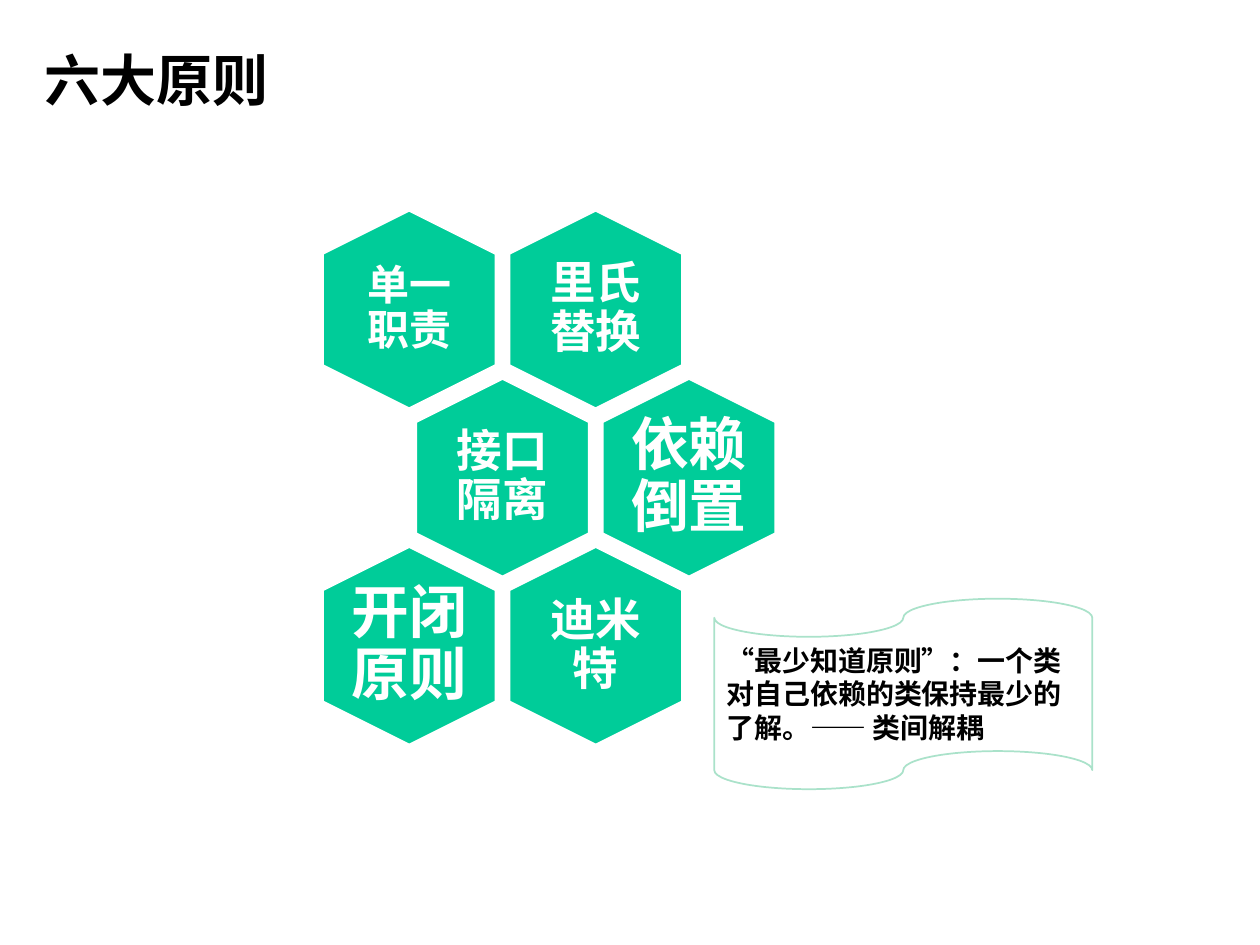
import lxml.etree
import pptx
import pptx.dml.color
import pptx.enum.shapes
import pptx.enum.text
import pptx.oxml.ns
import pptx.util

Cm = pptx.util.Cm
Pt = pptx.util.Pt
ANCHOR = pptx.enum.text.MSO_ANCHOR
ALIGN = pptx.enum.text.PP_ALIGN
COLORS = {"black": "000000", "white": "FFFFFF", "green": "00CC99", "mint": "AAE2CA"}
LATIN_FONT = "Times New Roman"
CHINESE_FONT = "Noto Sans CJK SC"

HEXAGON_WIDTH, HEXAGON_HEIGHT, HEXAGON_SHOULDER = 3.48, 3.98, 0.87
GRID_LEFT, GRID_TOP = 6.51, 4.25
COLUMN_STEP, ROW_STEP = 3.76, 3.39
WIDE_INSETS = (0.53, 0.64)
LARGE_INSETS = (0.81, 0.89)
PRINCIPLES = [
    [("单一职责", 24, WIDE_INSETS), ("里氏替换", 26, LARGE_INSETS)],
    [("接口隔离", 26, LARGE_INSETS), ("依赖倒置", 33, WIDE_INSETS)],
    [("开闭原则", 33, WIDE_INSETS), ("迪米特", 26, LARGE_INSETS)],
]


class SlideBuilder:
    def __init__(self, slide):
        self.slide = slide

    def color(self, name):
        return pptx.dml.color.RGBColor.from_string(COLORS[name])

    def set_text(self, shape, text, size, color, font, align, anchor, insets):
        frame = shape.text_frame
        frame.text = text
        frame.word_wrap = True
        frame.auto_size = pptx.enum.text.MSO_AUTO_SIZE.NONE
        frame.vertical_anchor = anchor
        frame.margin_left = frame.margin_right = Cm(insets[0])
        frame.margin_top = frame.margin_bottom = Cm(insets[1])
        paragraph = frame.paragraphs[0]
        paragraph.alignment = align
        for run in paragraph.runs:
            run.font.size = Pt(size)
            run.font.bold = True
            run.font.name = font
            run.font.color.rgb = self.color(color)
            properties = run._r.get_or_add_rPr()
            east_asian = lxml.etree.SubElement(properties, pptx.oxml.ns.qn("a:ea"))
            east_asian.set("typeface", CHINESE_FONT)
        return paragraph

    def paint(self, shape, fill, line):
        shape.shadow.inherit = False
        shape.fill.solid()
        shape.fill.fore_color.rgb = self.color(fill)
        shape.line.color.rgb = self.color(line)
        shape.line.width = Pt(1)

    def title(self, text, left, top, width, height):
        shape = self.slide.shapes.title
        shape.left, shape.top = Cm(left), Cm(top)
        shape.width, shape.height = Cm(width), Cm(height)
        self.set_text(shape, text, 32, "black", LATIN_FONT, ALIGN.LEFT,
                      ANCHOR.MIDDLE, (0.25, 0.13))

    def hexagon(self, text, size, insets, left, top):
        middle, right = left + HEXAGON_WIDTH / 2, left + HEXAGON_WIDTH
        bottom = top + HEXAGON_HEIGHT
        upper, lower = top + HEXAGON_SHOULDER, bottom - HEXAGON_SHOULDER
        corners = [(right, upper), (right, lower), (middle, bottom),
                   (left, lower), (left, upper)]
        builder = self.slide.shapes.build_freeform(Cm(middle), Cm(top))
        builder.add_line_segments([(Cm(x), Cm(y)) for x, y in corners], close=True)
        shape = builder.convert_to_shape()
        self.paint(shape, "green", "white")
        paragraph = self.set_text(shape, text, size, "white", LATIN_FONT, ALIGN.CENTER,
                                  ANCHOR.MIDDLE, insets)
        paragraph.line_spacing = 0.9
        paragraph.space_after = Pt(round(size * 0.44, 1))

    def tape(self, text, left, top, width, height):
        shape = self.slide.shapes.add_shape(
            pptx.enum.shapes.MSO_SHAPE.FLOWCHART_PUNCHED_TAPE,
            Cm(left), Cm(top), Cm(width), Cm(height))
        self.paint(shape, "white", "mint")
        self.set_text(shape, text, 16, "black", CHINESE_FONT, ALIGN.LEFT,
                      ANCHOR.TOP, (0.25, 0.13))


def main():
    presentation = pptx.Presentation()
    presentation.slide_width, presentation.slide_height = Cm(25.4), Cm(19.05)
    builder = SlideBuilder(presentation.slides.add_slide(presentation.slide_layouts[5]))
    builder.title("六大原则", 0.64, 0.43, 21.79, 2.34)
    for row, principles in enumerate(PRINCIPLES):
        row_left = GRID_LEFT + row % 2 * COLUMN_STEP / 2
        for column, (text, size, insets) in enumerate(principles):
            builder.hexagon(text, size, insets, row_left + column * COLUMN_STEP,
                            GRID_TOP + row * ROW_STEP)
    builder.tape("“最少知道原则”：一个类对自己依赖的类保持最少的了解。—— 类间解耦",
                 14.4, 12.07, 7.62, 3.84)
    presentation.save("out.pptx")


if __name__ == "__main__":
    main()
